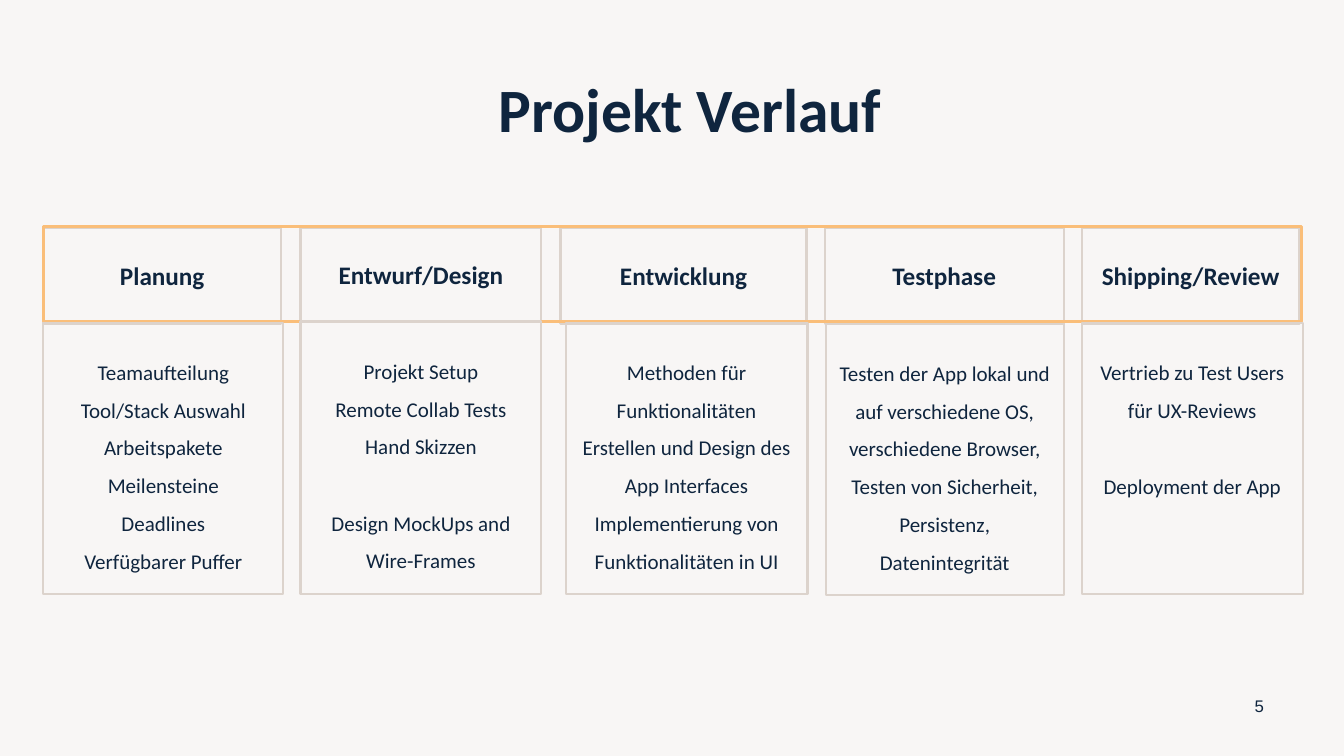
from dataclasses import dataclass

from pptx import Presentation
from pptx import util as u
from pptx.dml.color import RGBColor
from pptx.enum import shapes, text


@dataclass(frozen=True)
class Theme:
    ink: RGBColor = RGBColor.from_string("0F253E")
    frame: RGBColor = RGBColor.from_string("DCD3CC")
    accent: RGBColor = RGBColor.from_string("FABE79")
    paper: RGBColor = RGBColor.from_string("F8F6F5")
    font: str = "Calibri"
    number_font: str = "Arial"
    title_size: float = 44
    phase_size: float = 18
    task_size: float = 15
    number_size: float = 12
    group_gap: float = 27.5


@dataclass(frozen=True)
class Area:
    left: float
    top: float
    width: float
    height: float


@dataclass(frozen=True)
class Phase:
    name: str
    header: Area
    body: Area
    groups: list[list[str]]  # a gap of one line separates the groups


THEME = Theme()

PHASES = [
    Phase("Planung", Area(0.43, 2.26, 2.36, 0.95), Area(0.43, 3.2, 2.38, 2.69),
          [["Teamaufteilung", "Tool/Stack Auswahl", "Arbeitspakete",
            "Meilensteine", "Deadlines", "Verfügbarer Puffer"]]),
    Phase("Entwurf/Design", Area(2.98, 2.26, 2.39, 0.93), Area(2.98, 3.19, 2.39, 2.7),
          [["Projekt Setup", "Remote Collab Tests", "Hand Skizzen"],
           ["Design MockUps and Wire-Frames"]]),
    Phase("Entwicklung", Area(5.56, 2.26, 2.44, 0.95), Area(5.61, 3.2, 2.4, 2.69),
          [["Methoden für Funktionalitäten",
            "Erstellen und Design des App Interfaces",
            "Implementierung von Funktionalitäten in UI"]]),
    Phase("Testphase", Area(8.18, 2.26, 2.37, 0.95), Area(8.19, 3.21, 2.36, 2.69),
          [["Testen der App lokal und auf verschiedene OS, verschiedene Browser, "
            "Testen von Sicherheit, Persistenz, Datenintegrität"]]),
    Phase("Shipping/Review", Area(10.73, 2.26, 2.16, 0.95), Area(10.73, 3.2, 2.19, 2.69),
          [["Vertrieb zu Test Users für UX-Reviews"], ["Deployment der App"]]),
]


def inches(area: Area) -> list[u.Length]:
    return [u.Inches(n) for n in (area.left, area.top, area.width, area.height)]


def add_frame(page, area: Area, color: RGBColor, weight: float):
    """Draw an unfilled rectangle."""
    box = page.shapes.add_shape(shapes.MSO_SHAPE.RECTANGLE, *inches(area))
    box.shadow.inherit = False
    box.fill.background()
    box.line.color.rgb = color
    box.line.width = u.Pt(weight)
    return box


def write(box, groups: list[list[str]], *, size: float, font: str = THEME.font,
          bold: bool = False, spacing: float = 1.0, top_inset: float = 0.05,
          anchor=text.MSO_ANCHOR.MIDDLE) -> None:
    """Fill a box with centred paragraphs, leaving a gap between groups."""
    frame = box.text_frame
    frame.word_wrap = True
    frame.vertical_anchor = anchor
    frame.margin_top = u.Inches(top_inset)
    lines = [(line, group > 0 and row == 0)
             for group, rows in enumerate(groups) for row, line in enumerate(rows)]
    for index, (line, starts_group) in enumerate(lines):
        para = frame.add_paragraph() if index else frame.paragraphs[0]
        para.alignment = text.PP_ALIGN.CENTER
        para.line_spacing = spacing
        if starts_group:
            para.space_before = u.Pt(THEME.group_gap)
        span = para.add_run()
        span.text = line
        span.font.name = font
        span.font.size = u.Pt(size)
        span.font.bold = bold
        span.font.color.rgb = THEME.ink


def main() -> None:
    deck = Presentation()
    deck.slide_width, deck.slide_height = u.Inches(13.33), u.Inches(7.5)
    page = deck.slides.add_slide(deck.slide_layouts[6])
    page.background.fill.solid()
    page.background.fill.fore_color.rgb = THEME.paper

    # Title
    title = page.shapes.add_textbox(*inches(Area(4.48, 0.65, 4.73, 0.94)))
    write(title, [["Projekt Verlauf"]], size=THEME.title_size, bold=True, spacing=0.9)

    # Phase headers, enclosed by the accent band
    for phase in PHASES:
        header = add_frame(page, phase.header, THEME.frame, 1.5)
        write(header, [[phase.name]], size=THEME.phase_size, bold=True)
    add_frame(page, Area(0.43, 2.25, 12.48, 0.94), THEME.accent, 2.25)

    # Tasks of each phase
    for phase in PHASES:
        body = add_frame(page, phase.body, THEME.frame, 1.5)
        write(body, phase.groups, size=THEME.task_size, spacing=1.5,
              top_inset=0.24, anchor=text.MSO_ANCHOR.TOP)

    # Page number
    number = page.shapes.add_textbox(*inches(Area(12.24, 6.8, 0.5, 0.4)))
    write(number, [["5"]], size=THEME.number_size, font=THEME.number_font)

    deck.save("out.pptx")


if __name__ == "__main__":
    main()
